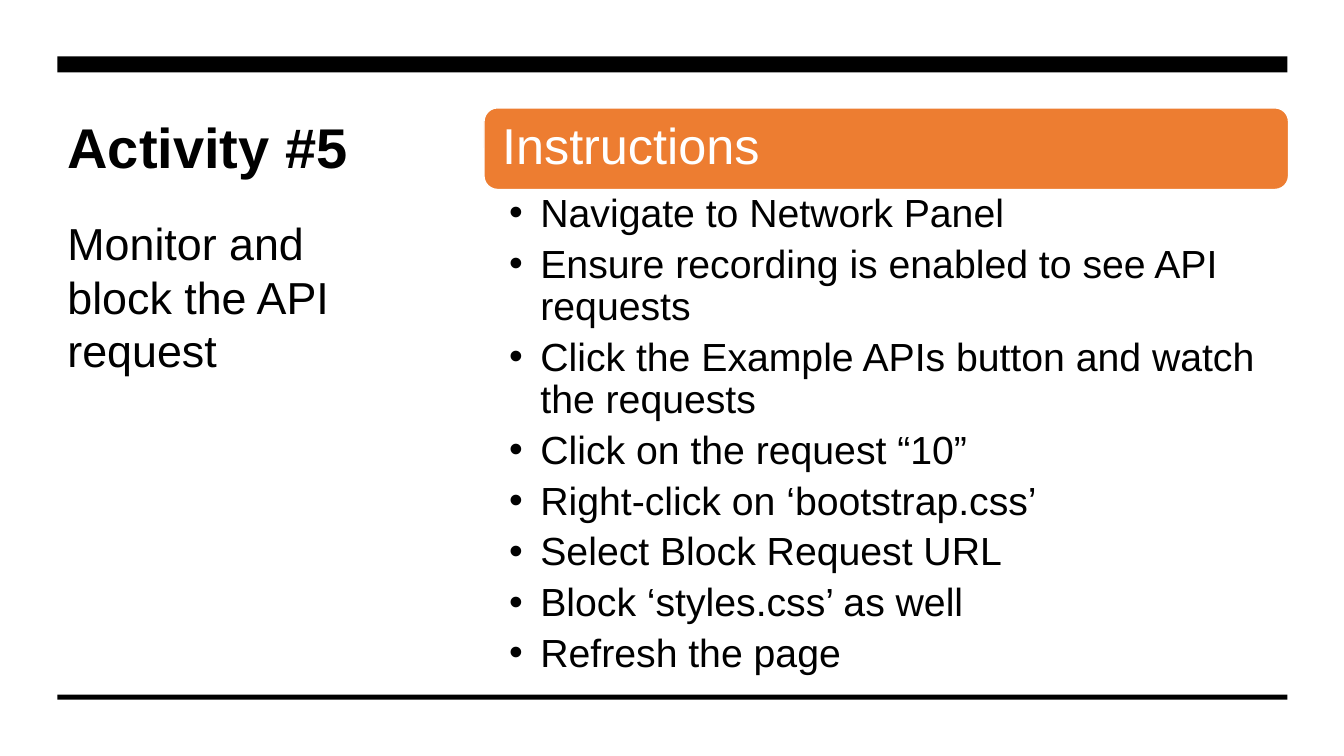
from dataclasses import dataclass

from lxml.etree import SubElement
from pptx import Presentation
from pptx.dml.color import RGBColor as Color
from pptx.enum.shapes import MSO_SHAPE as Preset
from pptx.enum.text import MSO_ANCHOR as Anchor, MSO_AUTO_SIZE as AutoSize, PP_ALIGN as Align
from pptx.oxml.ns import qn
from pptx.util import Inches, Pt


@dataclass(frozen=True)
class Theme:
    font: str = "Arial"
    ink: Color = Color(0, 0, 0)
    paper: Color = Color(255, 255, 255)
    accent: Color = Color(0xED, 0x7D, 0x31)
    title: int = 40
    header: int = 36
    subtitle: int = 32
    body: int = 28


@dataclass(frozen=True)
class Box:
    left: float
    top: float
    width: float
    height: float

    def rows(self, start, height):
        """Return the full-width band of this box at the given offset."""
        return Box(self.left, self.top + start, self.width, height)

    def emu(self):
        return [Inches(v) for v in (self.left, self.top, self.width, self.height)]


THEME = Theme()
WIDTH, HEIGHT = 13.33, 7.5
MARGIN = 0.57
FRAME = Box(MARGIN, 0.56, 12.2, 6.38)
INTRO = Box(MARGIN, 1.07, 3.67, 4.45)
PANEL = Box(4.8, 1.07, 7.98, 5.52)
HEADER_HEIGHT = 0.81
BULLET_INDENT = Inches(0.31)
STEPS = [
    "Navigate to Network Panel",
    "Ensure recording is enabled to see API requests",
    "Click the Example APIs button and watch the requests",
    "Click on the request “10”",
    "Right-click on ‘bootstrap.css’",
    "Select Block Request URL",
    "Block ‘styles.css’ as well",
    "Refresh the page",
]


def set_all(target, **values):
    for name, value in values.items():
        setattr(target, name, value)


def place(shape, box):
    set_all(shape, **dict(zip(("left", "top", "width", "height"), box.emu())))


def format_frame(frame, anchor=Anchor.TOP, insets=(0.1, 0.05, 0.1, 0.05), fit=AutoSize.NONE):
    sides = ("margin_left", "margin_top", "margin_right", "margin_bottom")
    set_all(frame, word_wrap=True, auto_size=fit, vertical_anchor=anchor,
            **{side: Inches(inset) for side, inset in zip(sides, insets)})


def write(paragraph, text, size, color=THEME.ink, bold=False, **spacing):
    paragraph.text = text
    set_all(paragraph, alignment=Align.LEFT, **spacing)
    set_all(paragraph.font, name=THEME.font, size=Pt(size), bold=bold)
    paragraph.font.color.rgb = color


def add_bullet(paragraph):
    properties = paragraph._p.get_or_add_pPr()
    properties.set("marL", str(BULLET_INDENT))
    properties.set("indent", str(-BULLET_INDENT))
    SubElement(properties, qn("a:buFont"), typeface=THEME.font)
    SubElement(properties, qn("a:buChar"), char="•")


def add_filled(slide, preset, box, color):
    shape = slide.shapes.add_shape(preset, *box.emu())
    shape.shadow.inherit = False
    shape.fill.solid()
    shape.fill.fore_color.rgb = color
    shape.line.fill.background()
    return shape


def add_rules(slide, box):
    """Thick rule along the top of the box, thin rule along the bottom."""
    thin = 0.05
    for band in (box.rows(0, 0.16), box.rows(box.height - thin, thin)):
        add_filled(slide, Preset.RECTANGLE, band, THEME.ink)


def add_intro(slide, box):
    """Title with the goal of the activity below it."""
    title = slide.shapes.title
    place(title, box)
    format_frame(title.text_frame)
    write(title.text_frame.paragraphs[0], "Activity #5", THEME.title, bold=True)

    goal = slide.shapes.add_textbox(*box.rows(1.02, 1.72).emu())
    format_frame(goal.text_frame, fit=AutoSize.SHAPE_TO_FIT_TEXT)
    write(goal.text_frame.paragraphs[0], "Monitor and block the API request", THEME.subtitle)


def add_instructions(slide, box):
    """Coloured header above a bulleted list of steps."""
    header = add_filled(slide, Preset.ROUNDED_RECTANGLE, box.rows(0, HEADER_HEIGHT), THEME.accent)
    header.line.color.rgb = THEME.paper
    header.line.width = Pt(1)
    format_frame(header.text_frame, Anchor.MIDDLE, (0.14, 0.15, 0.14, 0.15))
    write(header.text_frame.paragraphs[0], "Instructions", THEME.header, THEME.paper,
          line_spacing=0.9)

    steps = slide.shapes.add_textbox(*box.rows(HEADER_HEIGHT, box.height - HEADER_HEIGHT).emu())
    frame = steps.text_frame
    format_frame(frame, insets=(0.25, 0.04, 0.22, 0.04))
    for index, step in enumerate(STEPS):
        paragraph = frame.add_paragraph() if index else frame.paragraphs[0]
        add_bullet(paragraph)
        write(paragraph, step, THEME.body, line_spacing=0.9, space_after=Pt(6))


def main():
    presentation = Presentation()
    set_all(presentation, slide_width=Inches(WIDTH), slide_height=Inches(HEIGHT))
    title_only = presentation.slide_layouts[5]
    slide = presentation.slides.add_slide(title_only)
    slide.background.fill.solid()
    slide.background.fill.fore_color.rgb = THEME.paper
    add_rules(slide, FRAME)
    add_intro(slide, INTRO)
    add_instructions(slide, PANEL)
    presentation.save("out.pptx")


if __name__ == "__main__":
    main()
